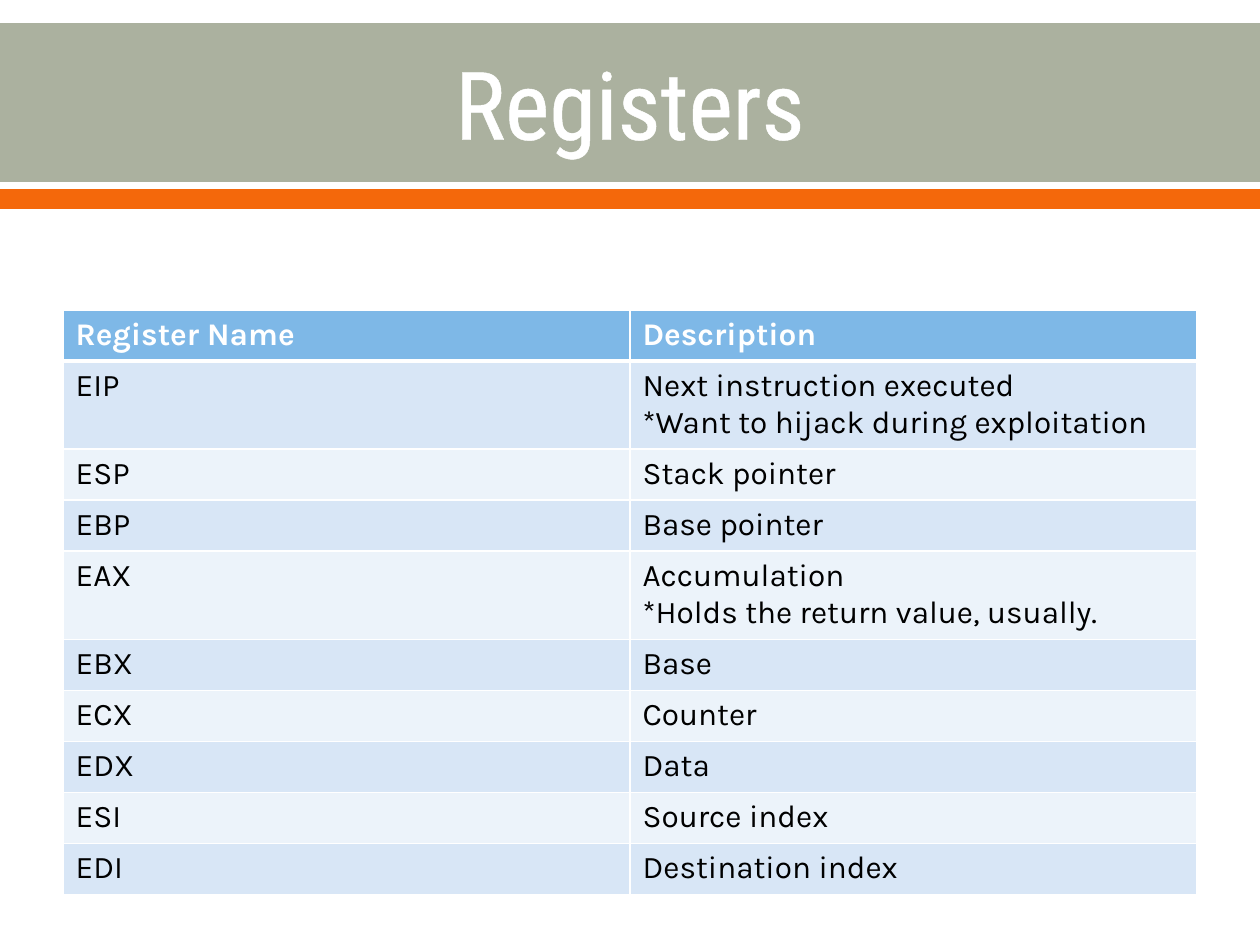
from pptx import Presentation
from pptx.dml.color import RGBColor as Color
from pptx.enum.shapes import MSO_SHAPE as Shape
from pptx.enum.text import MSO_ANCHOR as Anchor, PP_ALIGN as Align
from pptx.oxml import parse_xml
from pptx.oxml.ns import nsdecls
from pptx.util import Emu, Pt

THEME = {
    "band": "ABB19F", "stripe": "F4680B", "white": "FFFFFF", "text": "000000",
    "header": "7EB8E7", "odd": "D8E6F6", "even": "ECF3FA",
    "title_font": "Roboto Condensed", "body_font": "Karla",
    "title_size": 54, "body_size": 18,
}


def px(count):
    return Emu(round(count * 914400 / 126))


def line_xml(tag, points):
    return parse_xml(
        f'<a:{tag} {nsdecls("a")} w="{Pt(points)}"><a:solidFill>'
        f'<a:srgbClr val="{THEME["white"]}"/></a:solidFill></a:{tag}>'
    )


deck = Presentation()
deck.slide_width, deck.slide_height = px(1260), px(945)
page = deck.slides.add_slide(deck.slide_layouts[6])

for top, height, color in [(23, 159, "band"), (189, 20, "stripe")]:
    bar = page.shapes.add_shape(Shape.RECTANGLE, 0, px(top), px(1260), px(height))
    bar.shadow.inherit = False
    bar.fill.solid()
    bar.fill.fore_color.rgb = Color.from_string(THEME[color])
    bar.line.fill.background()

title_box = page.shapes.add_textbox(px(63), px(25), px(1134), px(154))
title_box.text_frame.word_wrap = True
title_box.text_frame.vertical_anchor = Anchor.MIDDLE
para = title_box.text_frame.paragraphs[0]
para.alignment = Align.CENTER
span = para.add_run()
span.text = "Registers"
span.font.name = THEME["title_font"]
span.font.size = Pt(THEME["title_size"])
span.font.color.rgb = Color.from_string(THEME["white"])
span.font._element.insert(0, line_xml("ln", 1.1))

registers = [
    ("Register Name", ["Description"]),
    ("EIP", ["Next instruction executed", "*Want to hijack during exploitation"]),
    ("ESP", ["Stack pointer"]),
    ("EBP", ["Base pointer"]),
    ("EAX", ["Accumulation", "*Holds the return value, usually."]),
    ("EBX", ["Base"]),
    ("ECX", ["Counter"]),
    ("EDX", ["Data"]),
    ("ESI", ["Source index"]),
    ("EDI", ["Destination index"]),
]
table = page.shapes.add_table(
    len(registers), 2, px(63), px(310), px(1134), px(580)
).table
for column in table.columns:
    column.width = px(567)

for row, (name, description) in enumerate(registers):
    table.rows[row].height = px(51 if len(description) == 1 else 86)
    is_header = row == 0
    fill = "header" if is_header else "odd" if row % 2 else "even"
    for col, lines in enumerate([[name], description]):
        cell = table.cell(row, col)
        properties = cell._tc.get_or_add_tcPr()
        for side in ("lnL", "lnR", "lnT", "lnB"):
            thick = (is_header and side == "lnB") or (row == 1 and side == "lnT")
            properties.append(line_xml(side, 3 if thick else 1))
        cell.fill.solid()
        cell.fill.fore_color.rgb = Color.from_string(THEME[fill])
        for index, line in enumerate(lines):
            frame = cell.text_frame
            para = frame.add_paragraph() if index else frame.paragraphs[0]
            span = para.add_run()
            span.text = line
            span.font.name = THEME["body_font"]
            span.font.size = Pt(THEME["body_size"])
            span.font.bold = is_header
            span.font.color.rgb = Color.from_string(
                THEME["white" if is_header else "text"]
            )

deck.save("out.pptx")
